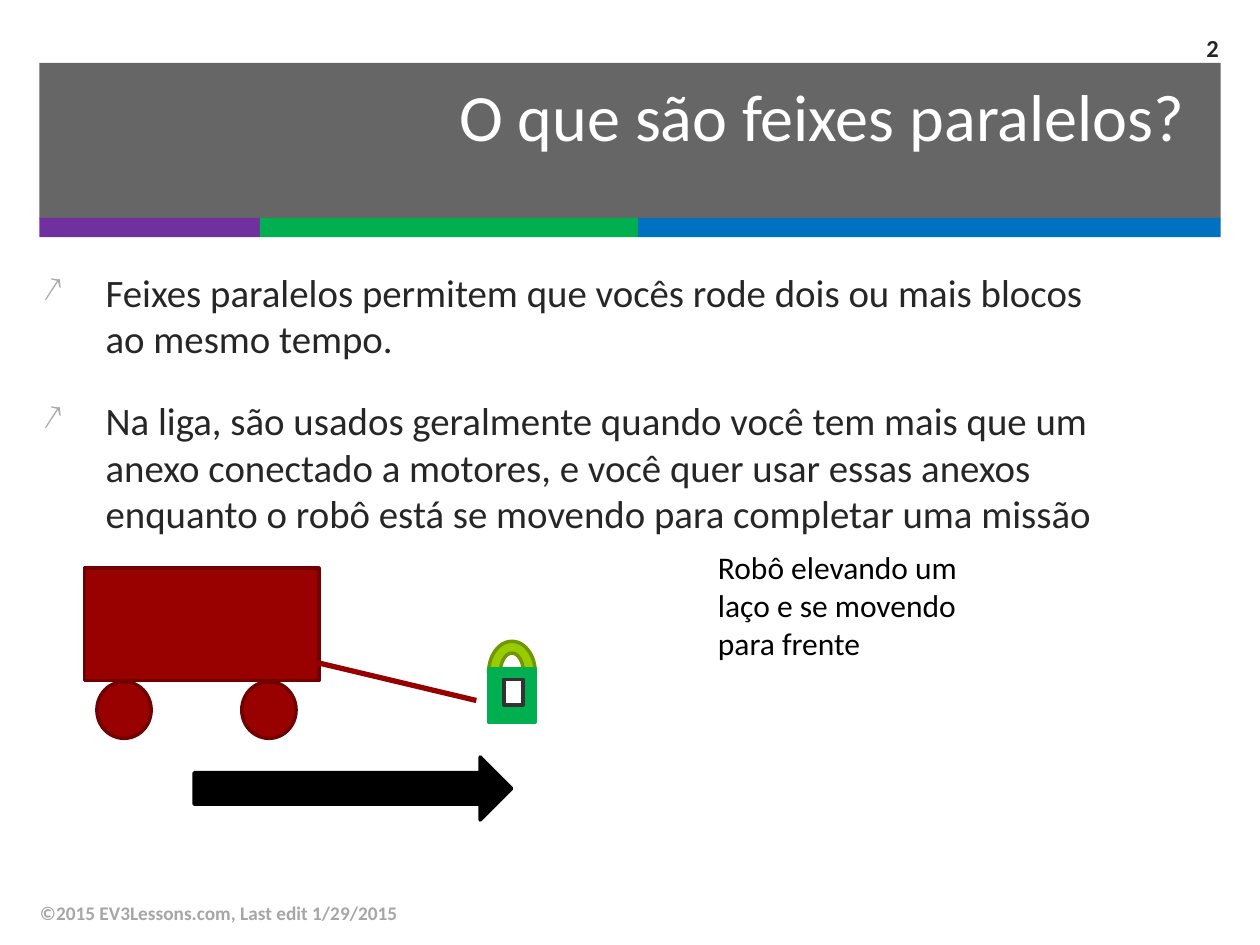
from lxml.etree import SubElement
from pptx import Presentation
from pptx.dml.color import RGBColor
from pptx.enum.shapes import MSO_CONNECTOR, MSO_SHAPE
from pptx.enum.text import MSO_ANCHOR, PP_ALIGN
from pptx.oxml.ns import qn
from pptx.util import Pt

TITLE = "O que são feixes paralelos?"
POINTS = [
    "Feixes paralelos permitem que vocês rode dois ou mais blocos ao mesmo tempo.",
    "Na liga, são usados geralmente quando você tem mais que um anexo conectado a motores, "
    "e você quer usar essas anexos enquanto o robô está se movendo para completar uma missão",
]
CAPTION = "Robô elevando um laço e se movendo para frente"
FOOTER = "©2015 EV3Lessons.com, Last edit 1/29/2015"
PAGE_NUMBER = "2"

COLORS = {
    "ink": "262626", "muted": "A6A6A6", "white": "FFFFFF", "black": "000000",
    "purple": "7030A0", "green": "00B050", "blue": "0070C0",
    "robot": "990000", "robot edge": "710000", "arm": "960000",
    "loop": "99CC00", "loop edge": "719700", "frame": "333333",
}
FONT = "Calibri"
HEADER_LEFT, HEADER_TOP, HEADER_WIDTH, HEADER_HEIGHT = 22.5, 36, 675, 89
BANDS = [("purple", 126), ("green", 216), ("blue", 333)]
BAND_TOP, BAND_HEIGHT = 124.5, 11
WHEEL_LEFTS = [55.4, 138.2]
WHEEL = (MSO_SHAPE.OVAL, 389.5, 31, 32.4)
DRAWING = [
    (MSO_SHAPE.RECTANGLE, (48.2, 324.7, 134, 64.2), "robot", "robot edge"),
    *[(WHEEL[0], (left, *WHEEL[1:]), "robot", "robot edge") for left in WHEEL_LEFTS],
    (MSO_SHAPE.BLOCK_ARC, (279.2, 366.5, 26.7, 36), "loop", "loop edge"),
    (MSO_SHAPE.RECTANGLE, (279.2, 382.2, 26.7, 30.3), "green", "green"),
    (MSO_SHAPE.RECTANGLE, (287.9, 388.2, 11, 14.6), "white", "frame"),
    (MSO_SHAPE.RIGHT_ARROW, (110.9, 432.6, 181.5, 36), "black", "black"),
]
ARM = (181.5, 378.7, 272.2, 400.3)


def rgb(name):
    return RGBColor.from_string(COLORS[name])


def add_shape(page, kind, place, fill, edge=None):
    shape = page.shapes.add_shape(kind, *map(Pt, place))
    shape.shadow.inherit = False
    shape.fill.solid()
    shape.fill.fore_color.rgb = rgb(fill)
    if edge:
        shape.line.color.rgb = rgb(edge)
        shape.line.width = Pt(2)
    else:
        shape.line.fill.background()
    return shape


def add_span(para, text, size, color, bold=False):
    span = para.add_run()
    span.text = text
    span.font.name = FONT
    span.font.size = Pt(size)
    span.font.bold = bold
    span.font.color.rgb = rgb(color)


def add_box(page, place, anchor=MSO_ANCHOR.TOP):
    box = page.shapes.add_textbox(*map(Pt, place))
    box.text_frame.word_wrap = True
    box.text_frame.vertical_anchor = anchor
    return box.text_frame


def add_bullet(para):
    properties = para._p.get_or_add_pPr()
    properties.set("marL", str(Pt(36)))
    properties.set("indent", str(-Pt(36)))
    color = SubElement(properties, qn("a:buClr"))
    SubElement(color, qn("a:srgbClr"), val=COLORS["muted"])
    SubElement(properties, qn("a:buSzPct"), val="90000")
    SubElement(properties, qn("a:buChar"), char="↗")


def add_header(page):
    place = (HEADER_LEFT, HEADER_TOP, HEADER_WIDTH, HEADER_HEIGHT)
    panel = add_shape(page, MSO_SHAPE.RECTANGLE, place, "ink")
    tint = panel.fill._xPr.find(".//" + qn("a:srgbClr"))
    SubElement(tint, qn("a:alpha"), val="70000")
    left = HEADER_LEFT
    for color, width in BANDS:
        add_shape(page, MSO_SHAPE.RECTANGLE, (left, BAND_TOP, width, BAND_HEIGHT), color)
        left += width
    title = page.shapes.title
    title.element.getparent().append(title.element)
    title.left, title.top, title.width, title.height = map(Pt, (184.3, 41, 499.7, 49))
    frame = title.text_frame
    frame.word_wrap = True
    frame.vertical_anchor = MSO_ANCHOR.MIDDLE
    frame.paragraphs[0].alignment = PP_ALIGN.RIGHT
    add_span(frame.paragraphs[0], TITLE, 37.8, "white")


def add_points(page):
    frame = add_box(page, (17.3, 149.8, 628.6, 142.6))
    for index, text in enumerate(POINTS):
        para = frame.add_paragraph() if index else frame.paragraphs[0]
        add_bullet(para)
        if index:
            para.space_before = Pt(20)
        add_span(para, text, 22.2, "ink")


def add_arm(page):
    arm = page.shapes.add_connector(MSO_CONNECTOR.STRAIGHT, *map(Pt, ARM))
    arm.line.color.rgb = rgb("arm")
    arm.line.width = Pt(3)
    SubElement(arm.element.spPr, qn("a:effectLst"))


def main():
    deck = Presentation()
    deck.slide_width, deck.slide_height = Pt(720), Pt(540)
    page = deck.slides.add_slide(deck.slide_layouts[5])
    add_header(page)
    add_points(page)
    footer = add_box(page, (15.8, 507, 482.4, 28.8), MSO_ANCHOR.MIDDLE)
    add_span(footer.paragraphs[0], FOOTER, 11, "muted", True)
    caption = add_box(page, (403.2, 309.6, 163.4, 72.7))
    add_span(caption.paragraphs[0], CAPTION, 18, "black")
    for kind, place, fill, edge in DRAWING:
        add_shape(page, kind, place, fill, edge)
    add_arm(page)
    number = add_box(page, (653.8, 13, 49.7, 28), MSO_ANCHOR.MIDDLE)
    number.paragraphs[0].alignment = PP_ALIGN.RIGHT
    add_span(number.paragraphs[0], PAGE_NUMBER, 14, "ink", True)
    deck.save("out.pptx")


if __name__ == "__main__":
    main()
